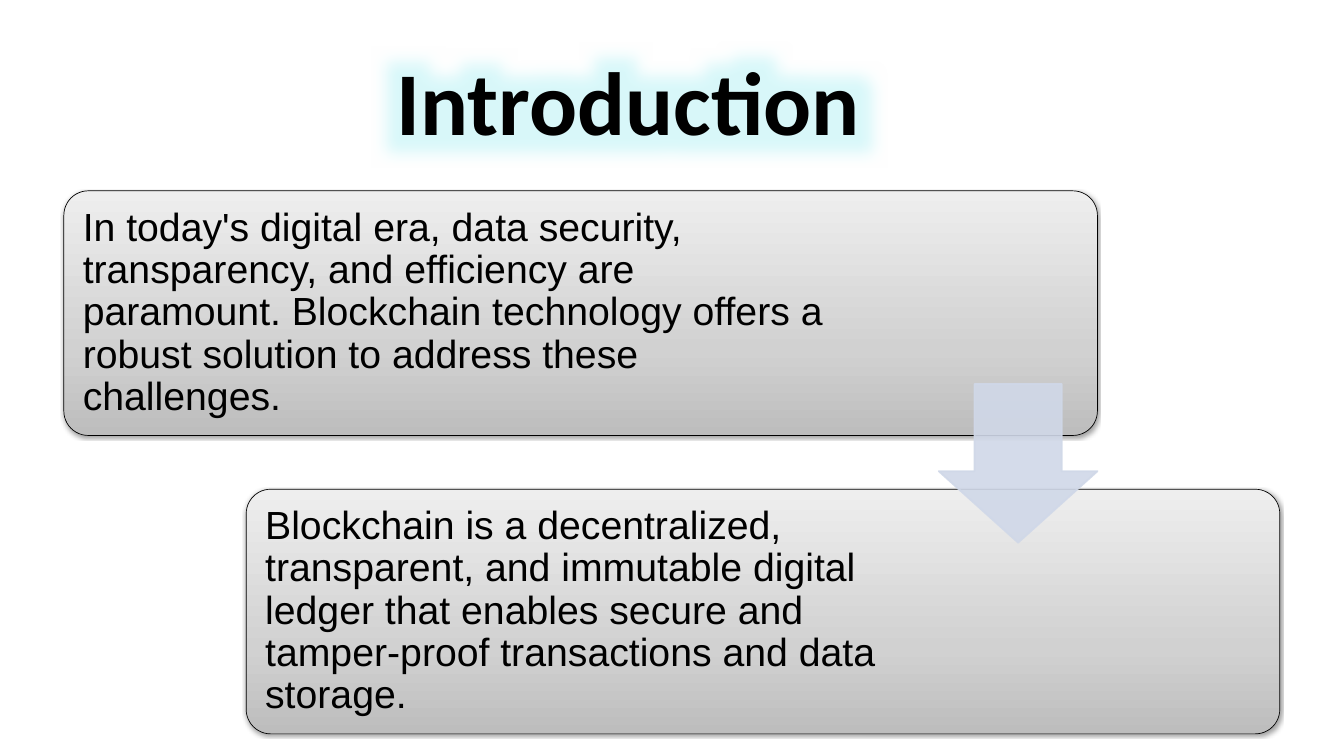
from dataclasses import dataclass

from lxml import etree
from pptx import Presentation
from pptx import util as u
from pptx.dml.color import RGBColor
from pptx.enum import shapes, text
from pptx.oxml import ns

Pt = u.Pt


@dataclass(frozen=True)
class Theme:
    ink: str = "000000"
    arrow: str = "D0D8E8"
    glow: str = "9FEDF2"
    card_stops: tuple = ((0, "BDBDBD"), (35, "D1D1D1"), (100, "EEEEEE"))
    title_font: str = "Calibri"
    body_font: str = "Arial"
    title_size: int = 96
    body_size: int = 42


THEME = Theme()

CARD_LEFT, CARD_TOP = 68.4, 204.5
CARD_WIDTH, CARD_HEIGHT = 1107.4, 262.1
STEP_X, STEP_Y = 195.4, 319.7
TEXT_INSET = 7.7
ARROW_SIZE = 169.9

STATEMENTS = (
    ("In today's digital era, data security, transparency, and efficiency are "
     "paramount. Blockchain technology offers a robust solution to address "
     "these challenges.", 837.4),
    ("Blockchain is a decentralized, transparent, and immutable digital ledger "
     "that enables secure and tamper-proof transactions and data storage.", 726.5),
)


def rgb(color):
    return RGBColor.from_string(color)


def add_node(parent, tag, **attributes):
    node = etree.SubElement(parent, ns.qn(tag))
    for name, value in attributes.items():
        node.set(name, str(value))
    return node


def add_color(parent, color, alpha=100):
    node = add_node(parent, "a:srgbClr", val=color)
    if alpha < 100:
        add_node(node, "a:alpha", val=alpha * 1000)


def set_insets(frame, inset):
    frame.margin_left = frame.margin_right = Pt(inset)
    frame.margin_top = frame.margin_bottom = Pt(inset)


def set_font(paragraph, name, size, bold=False):
    paragraph.font.name = name
    paragraph.font.size = Pt(size)
    paragraph.font.bold = bold
    paragraph.font.color.rgb = rgb(THEME.ink)


def format_title(title, wording):
    title.left, title.top = Pt(119.5), Pt(49.7)
    title.width, title.height = Pt(1129.7), Pt(116.6)
    frame = title.text_frame
    frame.text = wording
    frame.word_wrap = True
    frame.auto_size = text.MSO_AUTO_SIZE.SHAPE_TO_FIT_TEXT
    frame.vertical_anchor = text.MSO_ANCHOR.TOP
    set_insets(frame, 0)
    heading = frame.paragraphs[0]
    heading.alignment = text.PP_ALIGN.CENTER
    heading.line_spacing = 1.0
    heading.space_before = Pt(0)
    set_font(heading, THEME.title_font, THEME.title_size, bold=True)
    run_properties = heading.runs[0].font._element
    effects = add_node(run_properties, "a:effectLst")
    glow = add_node(effects, "a:glow", rad=Pt(50))
    add_color(glow, THEME.glow, 40)


def add_card(slide, left, top):
    card = slide.shapes.add_shape(
        shapes.MSO_SHAPE.ROUNDED_RECTANGLE,
        Pt(left), Pt(top), Pt(CARD_WIDTH), Pt(CARD_HEIGHT))
    card.adjustments[0] = 0.1
    card.line.color.rgb = rgb(THEME.ink)
    card.line.width = Pt(0.75)

    card.fill.gradient()
    gradient = card._element.spPr.find(ns.qn("a:gradFill"))
    for child in list(gradient):
        gradient.remove(child)
    stops = add_node(gradient, "a:gsLst")
    for position, color in THEME.card_stops:
        add_color(add_node(stops, "a:gs", pos=position * 1000), color)
    add_node(gradient, "a:lin", ang=270 * 60000, scaled=0)

    card.shadow.inherit = False
    effects = card._element.spPr.find(ns.qn("a:effectLst"))
    shadow = add_node(effects, "a:outerShdw", blurRad=Pt(3.1), dist=Pt(1.6),
                      dir=90 * 60000, rotWithShape=0)
    add_color(shadow, THEME.ink, 38)


def add_statement(slide, left, top, width, wording):
    statement = slide.shapes.add_textbox(
        Pt(left + TEXT_INSET), Pt(top + TEXT_INSET),
        Pt(width), Pt(CARD_HEIGHT - 2 * TEXT_INSET))
    frame = statement.text_frame
    frame.text = wording
    frame.word_wrap = True
    frame.vertical_anchor = text.MSO_ANCHOR.MIDDLE
    set_insets(frame, 12.6)
    paragraph = frame.paragraphs[0]
    paragraph.alignment = text.PP_ALIGN.LEFT
    paragraph.line_spacing = 0.9
    set_font(paragraph, THEME.body_font, THEME.body_size)


def add_down_arrow(slide):
    right = CARD_LEFT + CARD_WIDTH
    gap_middle = CARD_TOP + (CARD_HEIGHT + STEP_Y) / 2
    arrow = slide.shapes.add_shape(
        shapes.MSO_SHAPE.DOWN_ARROW,
        Pt(right - ARROW_SIZE), Pt(gap_middle + 1 - ARROW_SIZE / 2),
        Pt(ARROW_SIZE), Pt(ARROW_SIZE))
    arrow.adjustments[0] = 0.55
    arrow.adjustments[1] = 0.45
    arrow.shadow.inherit = False
    arrow.fill.solid()
    arrow.fill.fore_color.rgb = rgb(THEME.arrow)
    arrow.line.color.rgb = rgb(THEME.arrow)
    arrow.line.width = Pt(2)
    for color in arrow._element.spPr.iter(ns.qn("a:srgbClr")):
        add_node(color, "a:alpha", val=90000)


def main():
    deck = Presentation()
    deck.slide_width, deck.slide_height = Pt(1440), Pt(810)
    slide = deck.slides.add_slide(deck.slide_layouts[5])
    format_title(slide.shapes.title, "Introduction ")
    for index, (wording, width) in enumerate(STATEMENTS):
        left = CARD_LEFT + index * STEP_X
        top = CARD_TOP + index * STEP_Y
        add_card(slide, left, top)
        add_statement(slide, left, top, width, wording)
    add_down_arrow(slide)
    deck.save("out.pptx")


if __name__ == "__main__":
    main()
